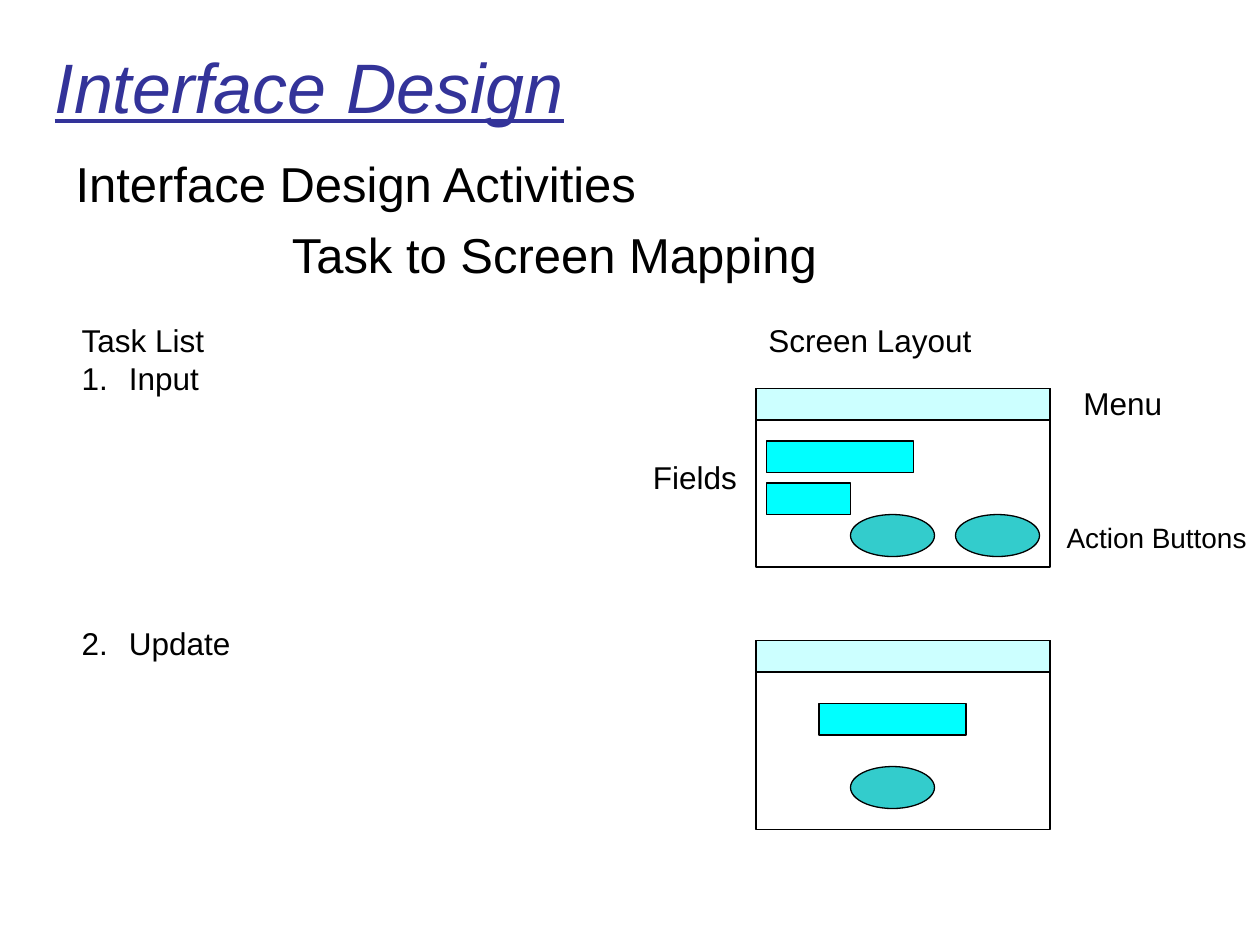
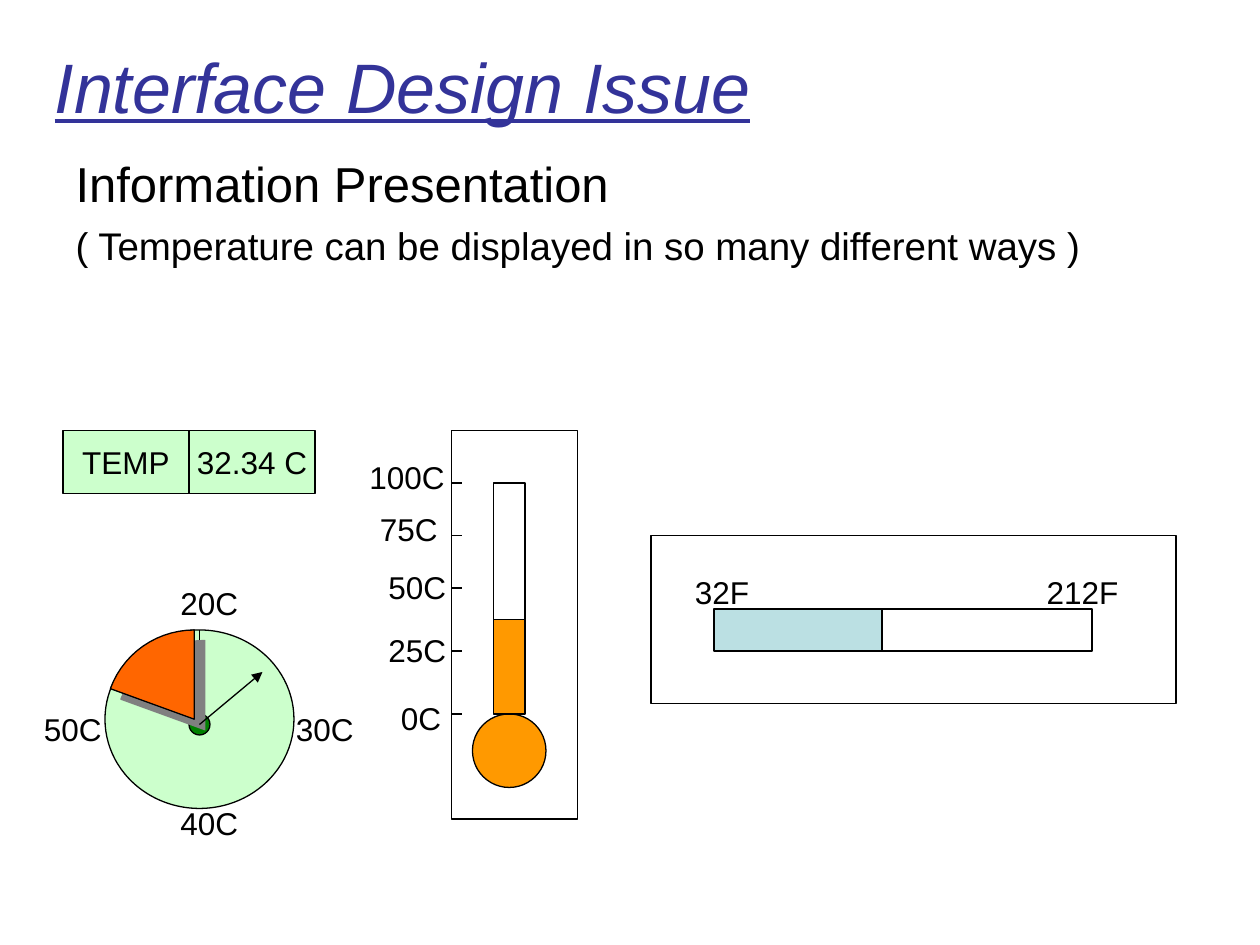
import math
from dataclasses import dataclass

import lxml.etree
import pptx
import pptx.dml.color
import pptx.enum.shapes
import pptx.enum.text
import pptx.oxml.ns
import pptx.util

PX = 7620
SHAPES = pptx.enum.shapes.MSO_SHAPE
ALIGN = pptx.enum.text.PP_ALIGN
ANCHOR = pptx.enum.text.MSO_ANCHOR
FIT = pptx.enum.text.MSO_AUTO_SIZE


@dataclass(frozen=True)
class Theme:
    font: str = "Arial"
    title_color: str = "333399"
    black: str = "000000"
    white: str = "FFFFFF"
    menu: str = "CCFFFF"
    field: str = "00FFFF"
    button: str = "33CCCC"
    pale_green: str = "CCFFCC"
    hub: str = "008000"
    wedge: str = "FF6600"
    shadow: str = "808080"
    mercury: str = "FF9900"
    bar: str = "BBE0E3"
    title_size: int = 40
    heading_size: int = 28
    remark_size: int = 22
    label_size: int = 18
    small_size: int = 16
    line_width: float = 0.75


THEME = Theme()


def rgb(value):
    return pptx.dml.color.RGBColor.from_string(value)


def apply(target, values):
    for name, value in values.items():
        setattr(target, name, value)


def lengths(*values):
    return [round(value * PX) for value in values]


def place(shape, *box):
    apply(shape, dict(zip(("left", "top", "width", "height"), lengths(*box))))


def write(para, text, size, color=THEME.black, **format_values):
    span = para.add_run()
    span.text = text
    apply(span.font, {"name": THEME.font, "size": pptx.util.Pt(size), **format_values})
    span.font.color.rgb = rgb(color)


def indent(para, margin, first, bullet):
    properties = para._p.get_or_add_pPr()
    for name, value in {"marL": margin, "indent": first}.items():
        properties.set(name, str(value * PX))
    mark = lxml.etree.SubElement(properties, pptx.oxml.ns.qn(f"a:{bullet}"))
    if bullet == "buAutoNum":
        mark.set("type", "arabicPeriod")


def outline(shape, fill):
    shape.shadow.inherit = False
    shape.fill.solid()
    shape.fill.fore_color.rgb = rgb(fill)
    shape.line.color.rgb = rgb(THEME.black)
    shape.line.width = pptx.util.Pt(THEME.line_width)


def add_figure(page, kind, fill, *box):
    figure = page.shapes.add_shape(kind, *lengths(*box))
    outline(figure, fill)
    return figure


def add_line(page, start, end):
    line = page.shapes.add_connector(
        pptx.enum.shapes.MSO_CONNECTOR.STRAIGHT, *lengths(*start, *end))
    line.line.color.rgb = rgb(THEME.black)
    line.line.width = pptx.util.Pt(THEME.line_width)
    lxml.etree.SubElement(line._element.spPr, pptx.oxml.ns.qn("a:effectLst"))
    return line


def add_label(page, text, left, top, width, size=THEME.label_size):
    box = page.shapes.add_textbox(*lengths(left, top, width, 48))
    apply(box.text_frame, {"word_wrap": False, "auto_size": FIT.SHAPE_TO_FIT_TEXT})
    write(box.text_frame.paragraphs[0], text, size)


def add_page(deck, title, lines):
    page = deck.slides.add_slide(deck.slide_layouts[1])
    heading, body = page.placeholders
    place(heading, 40, 30, 1080, 103)
    place(body, 60, 140, 1080, 665)
    for holder, anchor in ((heading, ANCHOR.MIDDLE), (body, ANCHOR.TOP)):
        apply(holder.text_frame, {"vertical_anchor": anchor, "auto_size": FIT.NONE,
                                  "word_wrap": True})
    para = heading.text_frame.paragraphs[0]
    para.alignment = ALIGN.LEFT
    write(para, title, THEME.title_size, THEME.title_color, italic=True, underline=True)
    for index, (text, size, margin, first, gap) in enumerate(lines):
        frame = body.text_frame
        para = frame.add_paragraph() if index else frame.paragraphs[0]
        indent(para, margin, first, "buNone")
        para.space_before = pptx.util.Pt(gap)
        write(para, text, size)
    return page


def add_task_list(page, left, top):
    box = page.shapes.add_textbox(*lengths(left, top, 234, 336))
    frame = box.text_frame
    frame.word_wrap = False
    tasks = (("Task List", "buNone", 0), ("Input", "buAutoNum", 0), ("Update", "buAutoNum", 130))
    for index, (text, bullet, gap) in enumerate(tasks):
        para = frame.add_paragraph() if index else frame.paragraphs[0]
        indent(para, 45, -45, bullet)
        para.space_before = pptx.util.Pt(gap)
        write(para, text, THEME.label_size)


def add_screen(page, left, top, height, fields, buttons):
    add_figure(page, SHAPES.RECTANGLE, THEME.white, left, top, 280, height)
    add_figure(page, SHAPES.RECTANGLE, THEME.menu, left, top, 280, 30)
    for x, y, width in fields:
        add_figure(page, SHAPES.RECTANGLE, THEME.field, left + x, top + y, width, 30)
    for x, y in buttons:
        add_figure(page, SHAPES.OVAL, THEME.button, left + x, top + y, 80, 40)


def add_readout(page, left, top):
    for column, text in enumerate(("TEMP", "32.34 C")):
        cell = add_figure(page, SHAPES.RECTANGLE, THEME.pale_green,
                          left + column * 120, top, 120, 60)
        apply(cell.text_frame, {"word_wrap": False, "vertical_anchor": ANCHOR.MIDDLE})
        para = cell.text_frame.paragraphs[0]
        para.alignment = ALIGN.CENTER
        write(para, text, THEME.label_size)


def add_wedge(page, center_x, center_y, radius):
    arc = [(center_x + radius * math.cos(math.radians(angle)),
            center_y - radius * math.sin(math.radians(angle)))
           for angle in range(90, 161, 5)]
    builder = page.shapes.build_freeform(*lengths(center_x, center_y))
    builder.add_line_segments([lengths(*point) for point in arc], close=True)
    wedge = builder.convert_to_shape()
    outline(wedge, THEME.wedge)
    effects = wedge._element.spPr.find(pptx.oxml.ns.qn("a:effectLst"))
    shadow = lxml.etree.SubElement(
        effects, pptx.oxml.ns.qn("a:outerShdw"), blurRad="0",
        dist=str(pptx.util.Pt(8.5)), dir="2700000", algn="ctr", rotWithShape="0")
    lxml.etree.SubElement(shadow, pptx.oxml.ns.qn("a:srgbClr"), val=THEME.shadow)


def add_dial(page, left, top):
    dial = add_figure(page, SHAPES.OVAL, THEME.pale_green, left, top, 180, 170)
    add_figure(page, SHAPES.OVAL, THEME.hub, left + 80, top + 80, 20, 20)
    hub = (left + 90, top + 90)
    add_line(page, (left + 90, top), hub).begin_connect(dial, 0)
    add_line(page, hub, (left + 10, top + 50))
    add_wedge(page, left + 85, top + 85, 85)
    needle = add_line(page, hub, (left + 150, top + 40))
    lxml.etree.SubElement(needle.line._get_or_add_ln(),
                          pptx.oxml.ns.qn("a:tailEnd"), type="triangle")
    for text, x, y in (("20C", 60, -50), ("30C", 170, 70), ("40C", 60, 160), ("50C", -70, 70)):
        add_label(page, text, left + x, top + y, 82)


def add_thermometer(page, left, top):
    add_figure(page, SHAPES.RECTANGLE, THEME.white, left, top, 120, 370)
    add_figure(page, SHAPES.OVAL, THEME.mercury, left + 20, top + 270, 70, 70)
    add_figure(page, SHAPES.RECTANGLE, THEME.mercury, left + 40, top + 180, 30, 90)
    add_figure(page, SHAPES.RECTANGLE, THEME.white, left + 40, top + 50, 30, 130)
    marks = (("100C", 50, -90, 20, 100), ("75C", 100, -80, 70, 82), ("50C", 150, -72, 125, 82),
             ("25C", 210, -72, 185, 82), ("0C", 270, -60, 250, 66))
    for text, tick, x, y, width in marks:
        add_line(page, (left, top + tick), (left + 10, top + tick))
        add_label(page, text, left + x, top + y, width)


def add_gauge(page, left, top):
    add_figure(page, SHAPES.RECTANGLE, THEME.white, left, top, 500, 160)
    add_figure(page, SHAPES.RECTANGLE, THEME.bar, left + 60, top + 70, 160, 40)
    add_figure(page, SHAPES.RECTANGLE, THEME.white, left + 220, top + 70, 200, 40)
    add_label(page, "32F", left + 30, top + 30, 80)
    add_label(page, "212F", left + 365, top + 30, 98)


def add_mapping_page(deck):
    page = add_page(deck, "Interface Design", (
        ("Interface Design Activities", THEME.heading_size, 45, -45, 0),
        ("Task to Screen Mapping", THEME.heading_size, 206, 0, 7)))
    add_task_list(page, 66, 300)
    add_label(page, "Screen Layout", 720, 300, 224)
    add_screen(page, 720, 370, 170, ((10, 50, 140), (10, 90, 80)), ((90, 120), (190, 120)))
    add_screen(page, 720, 610, 180, ((60, 60, 140),), ((90, 120),))
    add_label(page, "Menu", 1020, 360, 104)
    add_label(page, "Fields", 610, 430, 110)
    add_label(page, "Action Buttons", 1004, 490, 196, THEME.small_size)


def add_presentation_page(deck):
    page = add_page(deck, "Interface Design Issue", (
        ("Information Presentation", THEME.heading_size, 45, -45, 0),
        ("( Temperature can be displayed in so many different ways )",
         THEME.remark_size, 45, -45, 5.5)))
    add_readout(page, 60, 410)
    add_dial(page, 100, 600)
    add_thermometer(page, 430, 410)
    add_gauge(page, 620, 510)


def main():
    deck = pptx.Presentation()
    apply(deck, {"slide_width": 1200 * PX, "slide_height": 900 * PX})
    add_mapping_page(deck)
    add_presentation_page(deck)
    deck.save("out.pptx")


if __name__ == "__main__":
    main()
